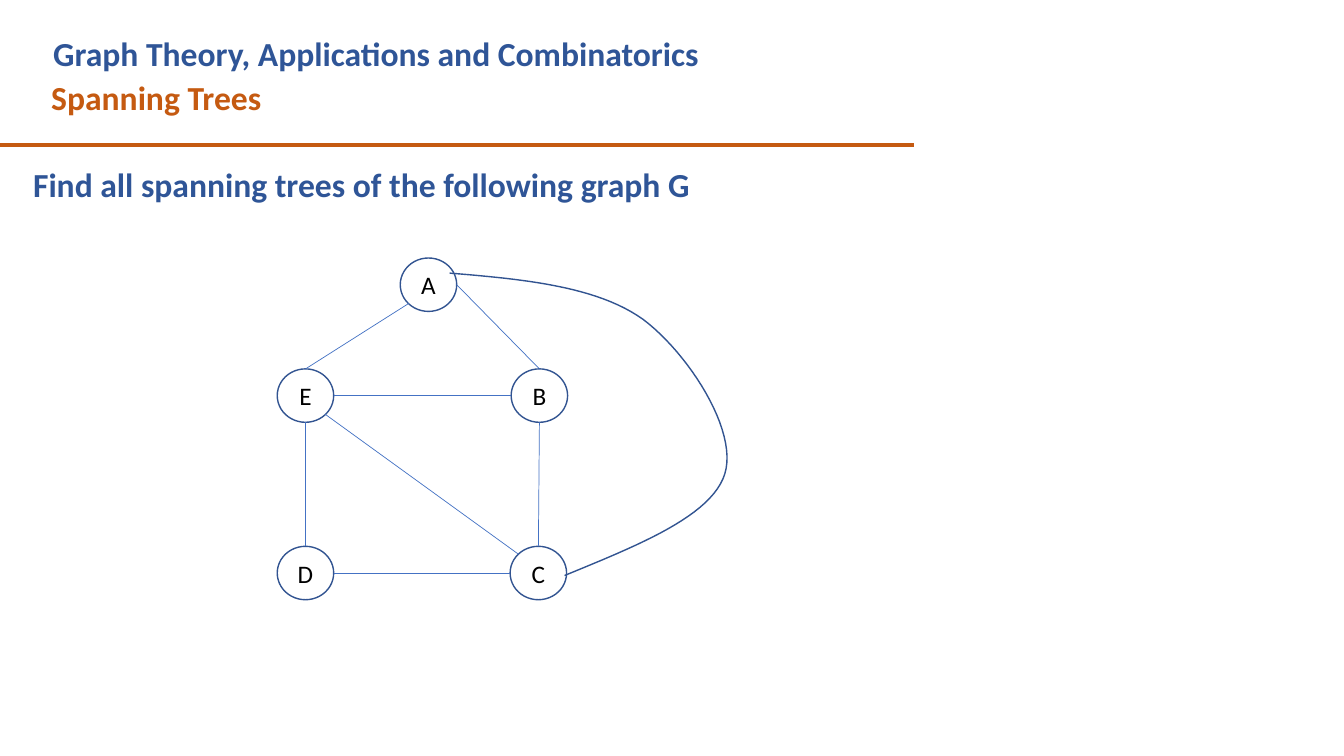
from pptx import Presentation
from pptx.dml.color import RGBColor
from pptx.enum.shapes import MSO_CONNECTOR as Link, MSO_SHAPE as Shape
from pptx.enum.text import MSO_ANCHOR as Anchor, PP_ALIGN as Align
from pptx.oxml.ns import qn
from pptx.util import Inches, Pt
from lxml import etree

ORANGE = RGBColor(0xC5, 0x5A, 0x11)
NAVY = RGBColor(0x2F, 0x55, 0x97)
RIM = RGBColor(0x32, 0x54, 0x91)
BLUE = RGBColor(0x44, 0x72, 0xC4)
BLACK = RGBColor(0, 0, 0)

deck = Presentation()
deck.slide_width, deck.slide_height = Inches(13.33), Inches(7.5)
slide = deck.slides.add_slide(deck.slide_layouts[6])
shapes = slide.shapes


def add_head(text, color, left, top, width, height):
    box = shapes.add_textbox(Inches(left), Inches(top), Inches(width), Inches(height))
    box.text_frame.word_wrap = True
    para = box.text_frame.paragraphs[0]
    para.text = text
    para.font.name, para.font.size, para.font.bold = "Calibri", Pt(24), True
    para.font.color.rgb = color
    return para


def add_line(start, end, color, weight):
    line = shapes.add_connector(Link.STRAIGHT, *map(Inches, (*start, *end)))
    line.line.color.rgb, line.line.width = color, Pt(weight)
    etree.SubElement(line._element.spPr, qn("a:effectLst"))


# Headings and rule
add_head("Spanning Trees", ORANGE, 0.41, 0.71, 8.75, 0.5)
add_line((-0.01, 1.44), (9.07, 1.44), ORANGE, 3)
add_head("Graph Theory, Applications and Combinatorics", NAVY, 0.43, 0.28, 8.2, 0.5)
task = add_head("Find all spanning trees of the following graph G", NAVY, 0.23, 1.62, 10.95, 0.77)
task.alignment, task.line_spacing = Align.JUSTIFY, 0.9

# Nodes of the graph
WIDE, HIGH = 0.56, 0.53
nodes = {"A": (3.97, 2.56), "B": (5.07, 3.66), "E": (2.75, 3.66),
         "C": (5.06, 5.42), "D": (2.75, 5.42)}
for name, (left, top) in nodes.items():
    node = shapes.add_shape(Shape.OVAL, *map(Inches, (left, top, WIDE, HIGH)))
    node.shadow.inherit = False
    node.fill.background()
    node.line.color.rgb, node.line.width = RIM, Pt(1)
    node.text_frame.vertical_anchor = Anchor.MIDDLE
    para = node.text_frame.paragraphs[0]
    para.text, para.alignment = name, Align.CENTER
    para.font.name, para.font.size = "Calibri", Pt(18)
    para.font.color.rgb = BLACK

# Straight edges, each running between points on two node rims
sites = {"top": (0.5, 0), "left": (0, 0.5), "low": (0.5, 1), "right": (1, 0.5),
         "top left": (0.15, 0.15), "low left": (0.15, 0.85), "low right": (0.85, 0.85)}
edges = [("A", "right", "B", "top"), ("A", "low left", "E", "top"),
         ("E", "low", "D", "top"), ("D", "right", "C", "left"),
         ("B", "low", "C", "top"), ("E", "right", "B", "left"),
         ("E", "low right", "C", "top left")]
for first, out, last, into in edges:
    ends = [(nodes[name][0] + sites[site][0] * WIDE, nodes[name][1] + sites[site][1] * HIGH)
            for name, site in ((first, out), (last, into))]
    add_line(*ends, BLUE, 0.5)

# Curved edge from A to C, traced along three cubic Bezier arcs
knots = [(4.46, 2.71), (5.19, 2.77), (5.92, 2.84), (6.38, 3.17), (6.83, 3.51),
         (7.32, 4.27), (7.19, 4.7), (7.06, 5.12), (6.33, 5.41), (5.6, 5.71)]
STEPS = 24
trace = []
for arc in range(0, 9, 3):
    for step in range(1, STEPS + 1):
        t = step / STEPS
        parts = ((1 - t) ** 3, 3 * t * (1 - t) ** 2, 3 * t * t * (1 - t), t ** 3)
        trace.append([Inches(sum(part * knot[axis] for part, knot in zip(parts, knots[arc:arc + 4])))
                      for axis in (0, 1)])
pen = shapes.build_freeform(*map(Inches, knots[0]))
pen.add_line_segments(trace, close=False)
curve = pen.convert_to_shape()
curve.shadow.inherit = False
curve.fill.background()
curve.line.color.rgb, curve.line.width = RIM, Pt(1)

deck.save("out.pptx")
